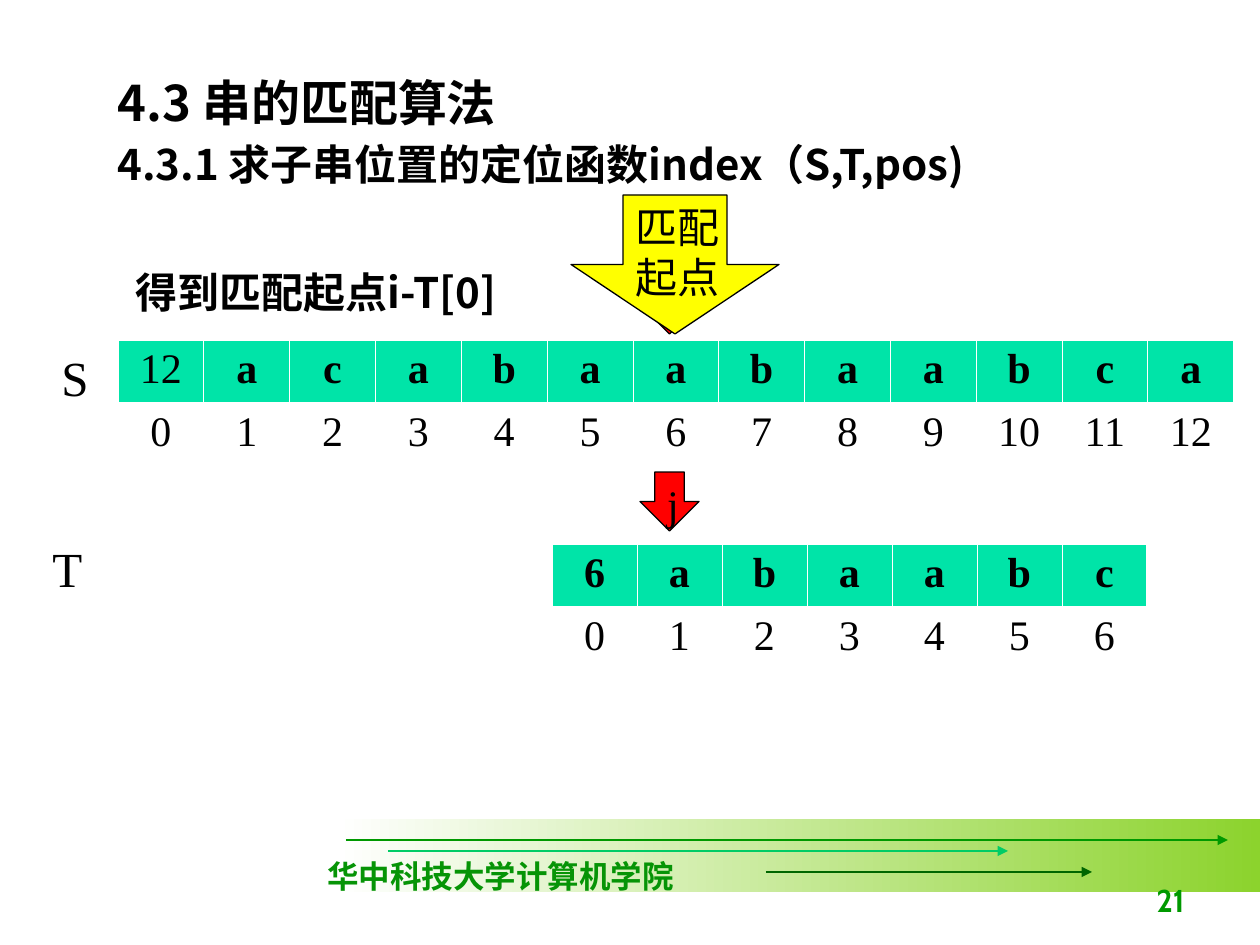
from lxml import etree
from pptx import Presentation, util as u
from pptx.dml.color import RGBColor
from pptx.enum import shapes, text
from pptx.oxml import ns

PX = 914400 / 126
SERIF, SANS = "Times New Roman", "Noto Sans CJK SC"
BLACK, WHITE, GREEN = "000000", "FFFFFF", "00E4A8"

TITLE = ("4.3 串的匹配算法", (105, 66, 1012, 131))
HEADINGS = [
    ("4.3.1 求子串位置的定位函数index（S,T,pos)", (105, 132, 1012, 63)),
    ("得到匹配起点i-T[0]", (123, 260, 407, 63)),
]
STRINGS = [
    ("S", (49, 341, 113, 72), ["12", *"acabaabaabca"], (118, 340, 1116, 126), 1),
    ("T", (40, 532, 113, 72), ["6", *"abaabc"], (552, 544, 595, 126), 0),
]
POINTERS = [
    ("i", (640, 275, 59, 59), "FF0000"),
    ("j", (640, 472, 59, 59), "FF0000"),
    ("匹配\n起点", (571, 195, 208, 139), "FFFF00"),
]
BAND = (336, 819, 924, 73)
BAND_ARROWS = [
    (346, 1228, 840, "009900"),
    (388, 1008, 851, "00CC66"),
    (766, 1092, 872, "006600"),
]
SCHOOL = ("华中科技大学计算机学院", (315, 851, 372, 50))
PAGE = ("21", (935, 862, 262, 63))


def emu(*lengths):
    return [u.Emu(round(length * PX)) for length in lengths]


def rgb(value):
    return RGBColor.from_string(value)


def write(frame, words, size=24, font=SERIF, color=BLACK, bold=False,
          align=text.PP_ALIGN.LEFT):
    frame.text = words
    for paragraph in frame.paragraphs:
        paragraph.alignment = align
        for run in paragraph.runs:
            run.font.size = u.Pt(size)
            run.font.bold = bold
            run.font.name = font
            run.font.color.rgb = rgb(color)
            etree.SubElement(run._r.get_or_add_rPr(), ns.qn("a:ea"), typeface=SANS)


def label(words, box, wrap=True, anchor=text.MSO_ANCHOR.TOP, **style):
    frame = slide.shapes.add_textbox(*emu(*box)).text_frame
    frame.word_wrap = wrap
    frame.vertical_anchor = anchor
    write(frame, words, **style)


def border(cell, **widths):
    properties = cell._tc.get_or_add_tcPr()
    for position, side in enumerate(("lnL", "lnR", "lnT", "lnB")):
        edge = etree.Element(ns.qn("a:" + side), w=str(u.Pt(widths.get(side, 0.45))))
        paint = etree.SubElement(edge, ns.qn("a:solidFill"))
        etree.SubElement(paint, ns.qn("a:srgbClr"), val=WHITE)
        properties.insert(position, edge)


def string_table(letters, box, plain_cells):
    table = slide.shapes.add_table(2, len(letters), *emu(*box)).table
    table.first_row = table.horz_banding = False
    for index, letter in enumerate(letters):
        table.columns[index].width = emu(box[2] / len(letters))[0]
        stored, position = table.cell(0, index), table.cell(1, index)
        stored.fill.solid()
        stored.fill.fore_color.rgb = rgb(GREEN)
        position.fill.background()
        border(stored, lnB=1.47)
        border(position, lnT=1.47)
        write(stored.text_frame, letter, bold=index >= plain_cells,
              align=text.PP_ALIGN.CENTER)
        write(position.text_frame, str(index), align=text.PP_ALIGN.CENTER)


def pointer(words, box, color):
    arrow = slide.shapes.add_shape(shapes.MSO_SHAPE.DOWN_ARROW, *emu(*box))
    arrow.shadow.inherit = False
    arrow.fill.solid()
    arrow.fill.fore_color.rgb = rgb(color)
    arrow.line.color.rgb = rgb(BLACK)
    arrow.line.width = u.Pt(0.75)
    arrow.text_frame.word_wrap = False
    arrow.text_frame.vertical_anchor = text.MSO_ANCHOR.TOP
    write(arrow.text_frame, words)


def band_arrow(start, end, y, color):
    arrow = slide.shapes.add_connector(
        shapes.MSO_CONNECTOR.STRAIGHT, *emu(start, y, end, y))
    arrow.line.color.rgb = rgb(color)
    arrow.line.width = u.Pt(0.75)
    etree.SubElement(arrow.line._get_or_add_ln(), ns.qn("a:tailEnd"), type="triangle")
    etree.SubElement(arrow._element.spPr, ns.qn("a:effectLst"))


deck = Presentation()
deck.slide_width, deck.slide_height = emu(1260, 945)
slide = deck.slides.add_slide(deck.slide_layouts[5])

band = slide.shapes.add_shape(shapes.MSO_SHAPE.RECTANGLE, *emu(*BAND))
band.shadow.inherit = False
band.line.fill.background()
band.fill.gradient()
band.fill.gradient_angle = 0
for stop, color in zip(band.fill.gradient_stops, (WHITE, "8CD32D")):
    stop.color.rgb = rgb(color)
for arrow in BAND_ARROWS:
    band_arrow(*arrow)
label(*SCHOOL, wrap=False, size=18, color="069406", bold=True)
label(*PAGE, anchor=text.MSO_ANCHOR.BOTTOM, size=18, font="Cabin", color="009900",
      bold=True, align=text.PP_ALIGN.RIGHT)

title = slide.shapes.title
title.left, title.top, title.width, title.height = emu(*TITLE[1])
title.text_frame.vertical_anchor = text.MSO_ANCHOR.TOP
title.text_frame.auto_size = text.MSO_AUTO_SIZE.NONE
write(title.text_frame, TITLE[0], size=28, font=SANS, bold=True)

for heading in HEADINGS:
    label(*heading, font=SANS, bold=True)
for name, name_box, letters, table_box, plain_cells in STRINGS:
    label(name, name_box, size=28)
    string_table(letters, table_box, plain_cells)
for mark in POINTERS:
    pointer(*mark)

deck.save("out.pptx")
